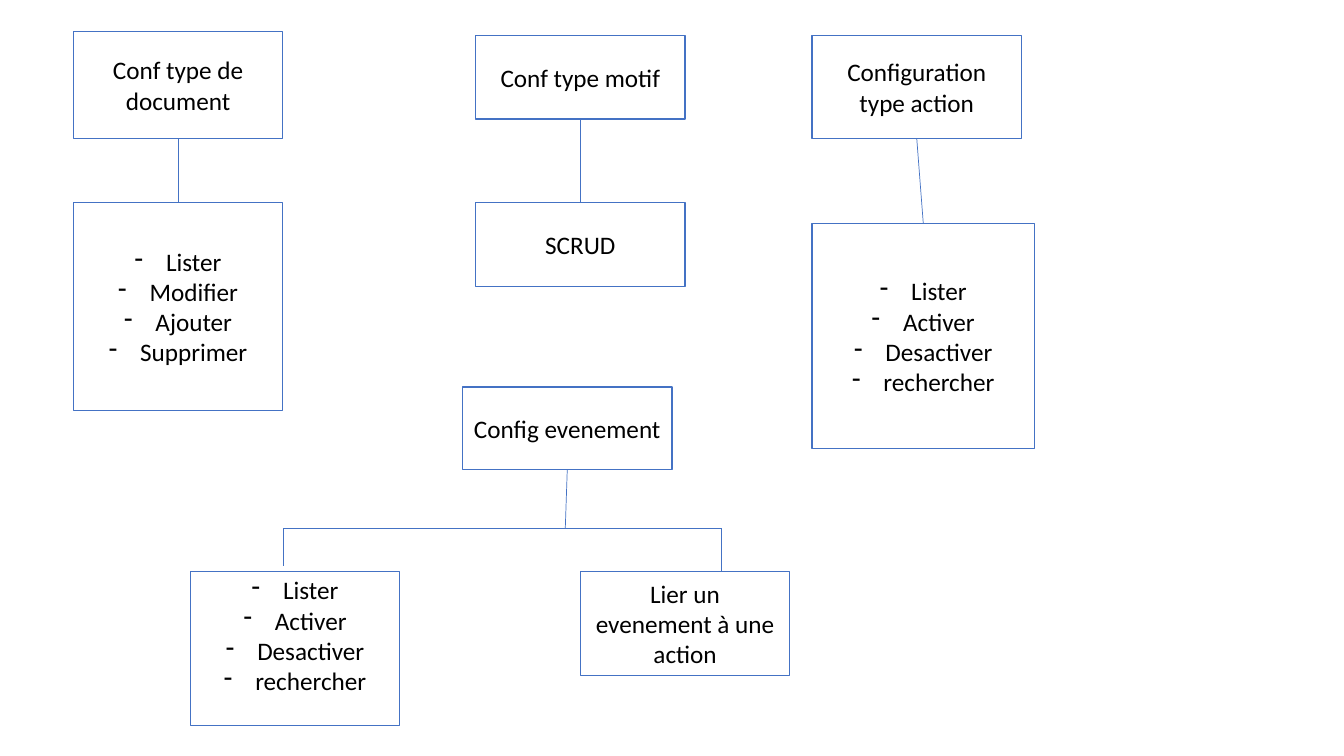
from lxml import etree
from pptx import Presentation
from pptx.dml.color import RGBColor
from pptx.enum.shapes import MSO_CONNECTOR, MSO_SHAPE
from pptx.enum.text import MSO_ANCHOR, PP_ALIGN
from pptx.oxml.ns import qn
from pptx.util import Cm, Pt

RECT = MSO_SHAPE.RECTANGLE
LINE = MSO_CONNECTOR.STRAIGHT
CENTER = PP_ALIGN.CENTER
MIDDLE, TOP = MSO_ANCHOR.MIDDLE, MSO_ANCHOR.TOP
BELOW, ABOVE = 2, 0
HEX = {"fill": "FFFFFF", "line": "4472C4", "text": "000000"}
WIDE = 5.28
INDENT = Cm(0.79)
STATES = ["Lister", "Activer", "Desactiver", "rechercher"]


def tint(name):
    return RGBColor.from_string(HEX[name])


def dash(para):
    props = para._p.get_or_add_pPr()
    props.set("marL", str(INDENT))
    props.set("indent", str(-INDENT))
    etree.SubElement(props, qn("a:buChar")).set("char", "-")


def card(slide, box, words, anchor=MIDDLE):
    shape = slide.shapes.add_shape(RECT, *map(Cm, box))
    shape.shadow.inherit = False
    shape.fill.solid()
    shape.fill.fore_color.rgb = tint("fill")
    shape.line.color.rgb = tint("line")
    shape.line.width = Pt(1)
    frame = shape.text_frame
    frame.word_wrap = True
    frame.vertical_anchor = anchor
    if anchor == TOP:
        frame.margin_top = Cm(0.08)
    listed = isinstance(words, list)
    for i, text in enumerate(words if listed else [words]):
        para = frame.add_paragraph() if i else frame.paragraphs[0]
        para.alignment = CENTER
        if listed:
            dash(para)
        run = para.add_run()
        run.text = text
        run.font.name = "Calibri"
        run.font.size = Pt(18)
        run.font.color.rgb = tint("text")
    return shape


def link(slide, start, end, head=None, tail=None):
    line = slide.shapes.add_connector(LINE, *map(Cm, start + end))
    line.line.color.rgb = tint("line")
    line.line.width = Pt(0.5)
    etree.SubElement(line._element.spPr, qn("a:effectLst"))
    if head is not None:
        line.begin_connect(head, BELOW)
    if tail is not None:
        line.end_connect(tail, ABOVE)


def pair(slide, box, head, gap, title, words):
    x, y, wide, high = box
    top = card(slide, (x, y, WIDE, head), title)
    low = card(slide, (x, y + head + gap, wide, high - head - gap), words)
    link(slide, (x, y + head), (x, y + head + gap), top, low)


def tree(slide, box):
    x, y, wide, high = box
    root = card(slide, (x + 6.86, y, WIDE, 2.08), "Config evenement")
    leaf = y + 4.65
    card(slide, (x, leaf, WIDE, high - 4.65), STATES, TOP)
    card(slide, (x + wide - WIDE, leaf, WIDE, 2.62),
         "Lier un evenement à une action")
    bar, left, right = y + 3.56, x + 2.34, x + 13.39
    link(slide, (left, bar), (right, bar))
    link(slide, (left, bar), (left, leaf - 0.15))
    link(slide, (right, bar), (right, leaf))
    link(slide, (x + 9.5, y + 2.08), (x + 9.45, bar), root)


def main():
    deck = Presentation()
    deck.slide_width, deck.slide_height = Cm(33.88), Cm(19.05)
    slide = deck.slides.add_slide(deck.slide_layouts[6])
    pair(slide, (1.85, 0.79, WIDE, 9.55), 2.7, 1.62, "Conf type de document",
         ["Lister", "Modifier", "Ajouter", "Supprimer"])
    pair(slide, (11.99, 0.89, WIDE, 6.33), 2.11, 2.11,
         "Conf type motif", "SCRUD")
    pair(slide, (20.47, 0.89, 5.61, 10.41), 2.6, 2.15,
         "Configuration type action", STATES)
    tree(slide, (4.8, 9.75, 15.11, 8.53))
    deck.save("out.pptx")


if __name__ == "__main__":
    main()
